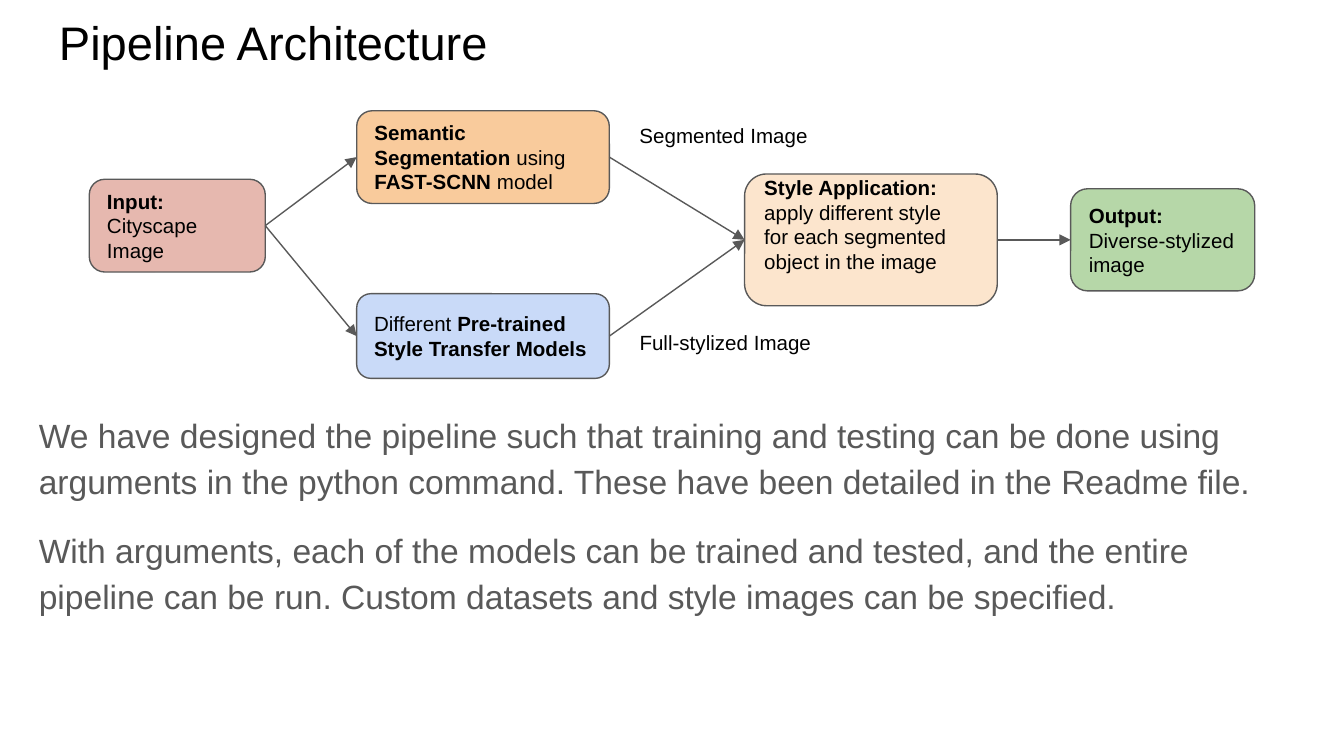
from lxml.etree import SubElement
from pptx import Presentation
from pptx.dml.color import RGBColor
from pptx.enum.shapes import MSO_CONNECTOR as Connector, MSO_SHAPE as Shape
from pptx.enum.text import MSO_ANCHOR as Anchor, PP_ALIGN as Align
from pptx.oxml.ns import qn
from pptx.util import Inches, Pt

# A 16:9 slide on a grid of 100 columns, with rows of the same size
WIDTH = Inches(10)
HEIGHT = WIDTH * 9 // 16
UNIT = WIDTH / 100
FONT, BLACK, GREY = "Arial", "000000", "595959"
LEFT_SITE, RIGHT_SITE = 1, 3


def grid(*cells):
    return [round(cell * UNIT) for cell in cells]


def color(hex_code):
    return RGBColor.from_string(hex_code)


def write(frame, paragraphs, size, ink=BLACK, insets=(1, 1, 1, 1),
          anchor=Anchor.TOP, spacing=1.0, gap=0):
    """Each paragraph is a list of (text, bold) runs."""
    frame.word_wrap = True
    frame.vertical_anchor = anchor
    (frame.margin_left, frame.margin_top,
     frame.margin_right, frame.margin_bottom) = grid(*insets)
    for index, runs in enumerate(paragraphs):
        paragraph = frame.add_paragraph() if index else frame.paragraphs[0]
        paragraph.alignment = Align.LEFT
        paragraph.line_spacing = spacing
        paragraph.space_before = Pt(gap if index else 0)
        for text, bold in runs:
            run = paragraph.add_run()
            run.text = text
            run.font.name, run.font.size, run.font.bold = FONT, Pt(size), bold
            run.font.color.rgb = color(ink)


def add_text(slide, cells, paragraphs, size, **style):
    box = slide.shapes.add_textbox(*grid(*cells))
    write(box.text_frame, paragraphs, size, **style)


def add_stage(slide, cells, fill, paragraphs, insets=(1, 1, 1, 1)):
    stage = slide.shapes.add_shape(Shape.ROUNDED_RECTANGLE, *grid(*cells))
    stage.shadow.inherit = False
    stage.fill.solid()
    stage.fill.fore_color.rgb = color(fill)
    stage.line.color.rgb = color(GREY)
    stage.line.width = Pt(0.75)
    write(stage.text_frame, paragraphs, 11, insets=insets, anchor=Anchor.MIDDLE)
    return stage


def add_arrow(slide, source, target):
    arrow = slide.shapes.add_connector(Connector.STRAIGHT, 0, 0, 0, 0)
    arrow.begin_connect(source, RIGHT_SITE)
    arrow.end_connect(target, LEFT_SITE)
    arrow.line.color.rgb = color(GREY)
    arrow.line.width = Pt(0.75)
    properties = arrow._element.spPr
    SubElement(properties.find(qn("a:ln")), qn("a:tailEnd"), type="triangle")
    SubElement(properties, qn("a:effectLst"))


def main():
    deck = Presentation()
    deck.slide_width, deck.slide_height = WIDTH, HEIGHT
    slide = deck.slides.add_slide(deck.slide_layouts[6])

    # Title and explanation
    add_text(slide, (3.4, 0, 93.2, 6.3), [[("Pipeline Architecture", False)]], 25.2)
    add_text(slide, (1.9, 29.4, 93.2, 23.5), [
        [("We have designed the pipeline such that training and testing can be "
          "done using arguments in the python command. These have been detailed "
          "in the Readme file.", False)],
        [("With arguments, each of the models can be trained and tested, and the "
          "entire pipeline can be run. Custom datasets and style images can be "
          "specified.", False)],
    ], 18, ink=GREY, spacing=1.15, gap=12)

    # Pipeline stages
    source = add_stage(slide, (6.64, 13.34, 13.1, 6.9), "E6B8AF", [
        [("Input:", True)], [("Cityscape Image", False)]])
    segmentation = add_stage(slide, (26.54, 8.24, 18.8, 6.9), "F9CB9C", [
        [("Semantic Segmentation", True), (" using ", False),
         ("FAST-SCNN", True), (" model", False)]])
    transfer = add_stage(slide, (26.54, 21.86, 18.8, 6.3), "C9DAF8", [
        [("Different ", False), ("Pre-trained Style Transfer Models", True)]])
    # The deeper right and bottom insets narrow and lift this stage's text
    application = add_stage(slide, (55.4, 12.95, 18.8, 9.8), "FCE5CD", [
        [("Style Application: ", True),
         ("apply different style for each segmented object in the image", False)],
    ], insets=(1, 0, 1.5, 2.3))
    output = add_stage(slide, (79.66, 14.05, 13.7, 7.6), "B6D7A8", [
        [("Output: ", True), ("Diverse-stylized image", False)]])

    # Flow between stages
    for start, end in ((source, segmentation), (source, transfer),
                       (segmentation, application), (transfer, application),
                       (application, output)):
        add_arrow(slide, start, end)

    # Labels of the intermediate images
    for label, row, width in (("Segmented Image", 8.2, 17),
                              ("Full-stylized Image", 23.64, 14.8)):
        add_text(slide, (46.6, row, width, 3.9), [[(label, False)]], 11)

    deck.save("out.pptx")


if __name__ == "__main__":
    main()
